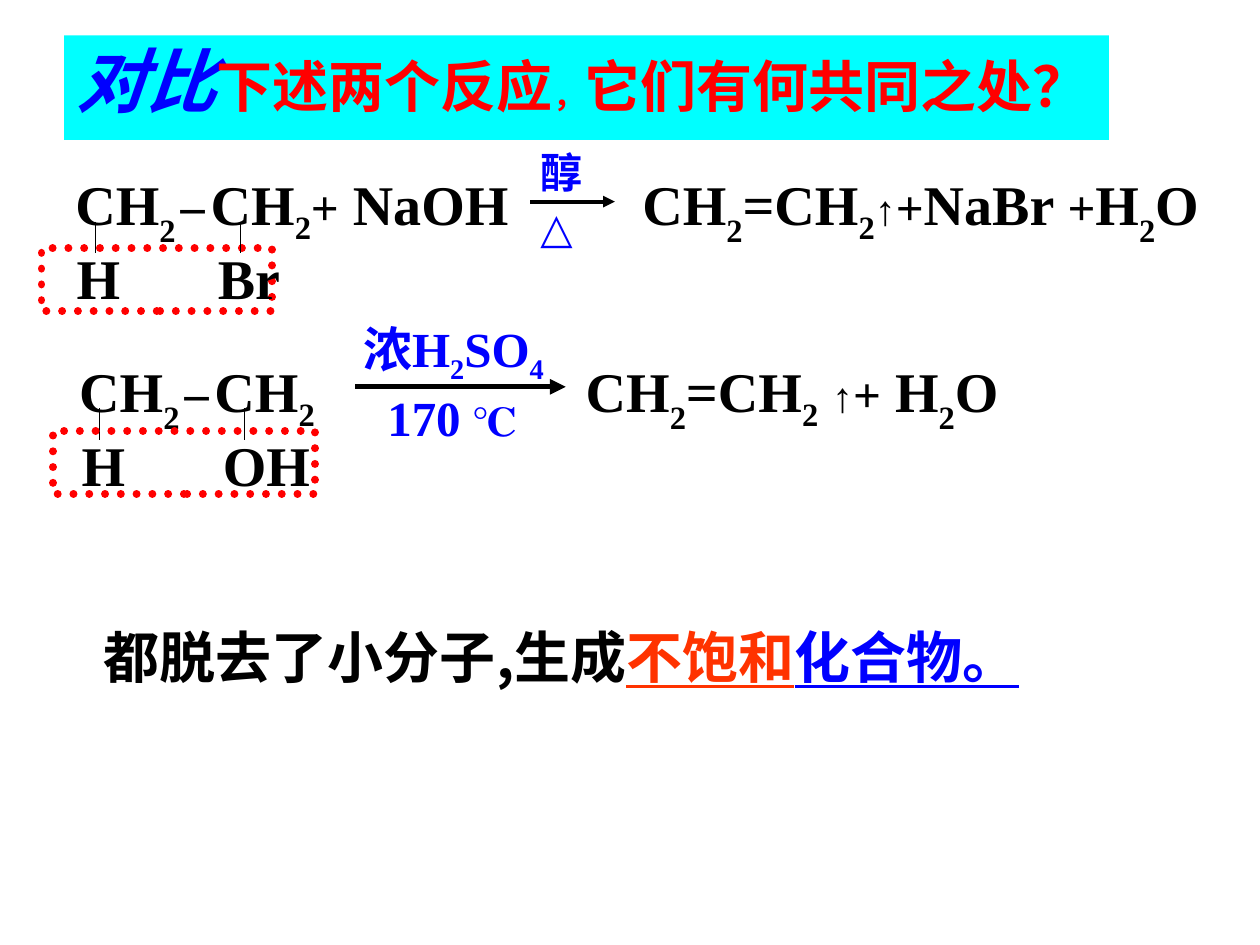
from itertools import cycle, groupby

from lxml import etree
from pptx import Presentation
from pptx.dml.color import RGBColor
from pptx.enum import dml, shapes, text
from pptx.oxml.ns import qn
from pptx.util import Inches, Pt

COLORS = {"cyan": "00FFFF", "blue": "0000FF", "red": "FF0000",
          "orange": "FF3300", "black": "000000"}
LATIN, CHINESE = "Times New Roman", "Noto Sans CJK SC"
SYMBOL_SIZES = {"－": 20, "↑": 24, "+": 28}


def rgb(name):
    return RGBColor.from_string(COLORS[name])


def add_span(para, words, size, color="black", face=LATIN):
    span = para.add_run()
    span.text = words
    font = span.font
    font.size, font.bold, font.name = Pt(size), True, face
    font.color.rgb = rgb(color)
    east_asian = etree.SubElement(span._r.get_or_add_rPr(), qn("a:ea"))
    east_asian.set("typeface", CHINESE)
    return span


def add_formula(para, formula, size=32, color="black", offsets=(-30, -25)):
    """Write a formula with its digits lowered and its symbols made smaller."""
    offset = cycle(offsets)
    for kind, chars in groupby(
            formula, lambda c: c if c.isdigit() or c in SYMBOL_SIZES else ""):
        span = add_span(para, "".join(chars), SYMBOL_SIZES.get(kind, size), color)
        if kind.isdigit():
            span._r.get_or_add_rPr().set("baseline", str(next(offset) * 1000))


def add_box(page, left, top, width, height, wrap=True):
    box = page.shapes.add_textbox(
        Inches(left), Inches(top), Inches(width), Inches(height))
    box.text_frame.word_wrap = wrap
    return box.text_frame


def set_tab(para, position):
    tabs = etree.SubElement(para._p.get_or_add_pPr(), qn("a:tabLst"))
    etree.SubElement(tabs, qn("a:tab"), pos=str(Inches(position)), algn="l")


def add_line(page, start, end, width, arrow=False):
    line = page.shapes.add_connector(
        shapes.MSO_CONNECTOR.STRAIGHT, *map(Inches, start + end))
    line.line.color.rgb = rgb("black")
    line.line.width = Pt(width)
    if arrow:
        etree.SubElement(line.line._get_or_add_ln(), qn("a:tailEnd"), type="triangle")
    etree.SubElement(line._element.spPr, qn("a:effectLst"))


def add_title(page, left, top, width, height):
    title = page.shapes.title
    title.left, title.top = Inches(left), Inches(top)
    title.width, title.height = Inches(width), Inches(height)
    title.fill.solid()
    title.fill.fore_color.rgb = rgb("cyan")
    frame = title.text_frame
    frame.vertical_anchor = text.MSO_ANCHOR.MIDDLE
    frame.auto_size = text.MSO_AUTO_SIZE.NONE
    para = frame.paragraphs[0]
    para.alignment, para.line_spacing = text.PP_ALIGN.LEFT, 0.8
    add_span(para, "对比", 40, "blue").font.italic = True
    for words, size in (("下述两个反应", 32), ("，", 18), ("它们有何共同之处？", 32)):
        add_span(para, words, size, "red")


def add_equation(page, left, top, width, formula, product_tab):
    """Place the main line and the two bonds that hang below its carbons."""
    para = add_box(page, left, top, width, 0.73).paragraphs[0]
    set_tab(para, product_tab)
    add_formula(para, formula)
    for bond in (left + 0.26, left + 1.41):
        add_line(page, (bond, top + 0.46), (bond, top + 0.71), 0.75)


def add_leaving_atoms(page, left, top, width, atoms):
    para = add_box(page, left, top, width, 0.64, wrap=False).paragraphs[0]
    set_tab(para, 1.12)
    add_span(para, "\t".join(atoms), 32)


def add_dotted_frame(page, left, top, width, height):
    frame = page.shapes.add_shape(shapes.MSO_SHAPE.RECTANGLE, Inches(left),
                                  Inches(top), Inches(width), Inches(height))
    frame.shadow.inherit = False
    frame.fill.background()
    frame.line.color.rgb = rgb("red")
    frame.line.width = Pt(4.5)
    frame.line.dash_style = dml.MSO_LINE.ROUND_DOT
    outline = frame.line._get_or_add_ln()
    outline.set("cap", "rnd")
    etree.SubElement(outline, qn("a:round"))


def add_alcohol_condition(page, left, top, width, height):
    frame = add_box(page, left, top, width, height, wrap=False)
    for para, words in ((frame.paragraphs[0], "醇"), (frame.add_paragraph(), "△")):
        para.line_spacing = 1.1
        add_span(para, words, 24, "blue")
    add_line(page, (left + 0.02, top + 0.53), (left + 0.69, top + 0.53), 2.25, True)


def add_acid_condition(page, left, top, width, height):
    frame = add_box(page, left, top, width, height)
    acid, heat = frame.paragraphs[0], frame.add_paragraph()
    for para in (acid, heat):
        para.alignment, para.line_spacing = text.PP_ALIGN.CENTER, 0.7
    heat.space_before = Pt(15)
    add_formula(acid, "浓H2SO4", 28, "blue", offsets=(-25,))
    add_span(heat, "170 ", 28, "blue")
    add_span(heat, "℃", 24, "blue")
    add_line(page, (left + 0.15, top + 0.5), (left + 1.82, top + 0.5), 3, True)


def add_conclusion(page, left, top, width, height):
    para = add_box(page, left, top, width, height).paragraphs[0]
    para.alignment = text.PP_ALIGN.CENTER
    add_span(para, "都脱去了小分子,生成", 32, face=CHINESE)
    for words, color in (("不饱和", "orange"), ("化合物。", "blue")):
        add_span(para, words, 32, color, CHINESE).font.underline = True


def main():
    deck = Presentation()
    deck.slide_width, deck.slide_height = Inches(10), Inches(7.5)
    page = deck.slides.add_slide(deck.slide_layouts[5])
    add_title(page, 0.51, 0.28, 8.29, 0.83)

    add_dotted_frame(page, 0.33, 1.97, 1.83, 0.5)
    add_equation(page, 0.5, 1.3, 9.5, "CH2－CH2+ NaOH\tCH2=CH2↑+NaBr +H2O", 4.5)
    add_leaving_atoms(page, 0.51, 1.88, 1.82, ("H", "Br"))
    add_alcohol_condition(page, 4.19, 1.07, 0.53, 0.98)

    add_acid_condition(page, 2.67, 2.57, 1.86, 1.01)
    add_equation(page, 0.53, 2.78, 8.08, "CH2－CH2\tCH2=CH2 ↑+ H2O", 4.02)
    add_leaving_atoms(page, 0.55, 3.37, 2.02, ("H", "OH"))
    add_dotted_frame(page, 0.42, 3.42, 2.08, 0.5)

    add_conclusion(page, -0.01, 4.89, 8.93, 0.64)
    deck.save("out.pptx")


if __name__ == "__main__":
    main()
